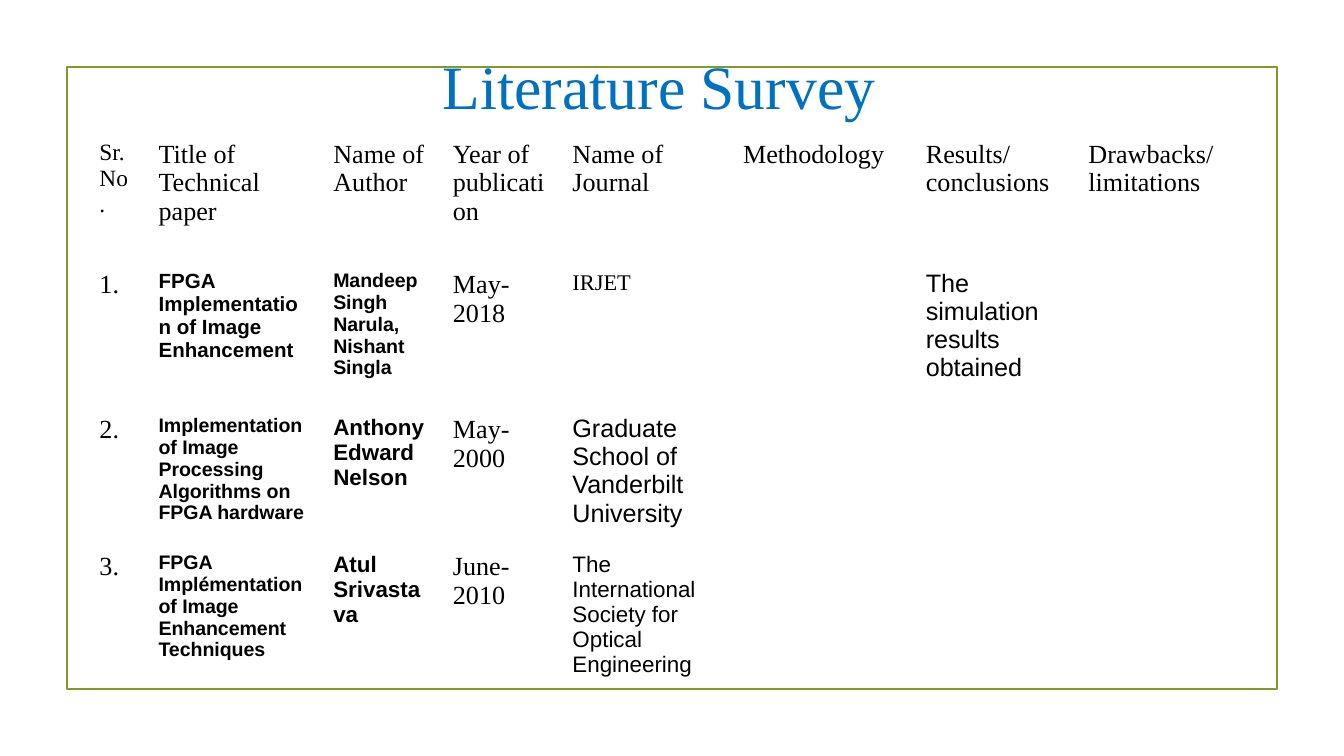
from pptx import Presentation
from pptx import util as u
from pptx.dml.color import RGBColor
from pptx.enum import shapes, text

COLORS = {"frame": "83992A", "title": "0070C0", "body": "000000"}
SERIF, SANS = "Times New Roman", "Arial"
WIDTH = 10
HEIGHT = WIDTH * 9 / 16
MARGIN = 0.5
COLUMNS = [0.44, 1.3, 0.89, 0.89, 1.27, 1.36, 1.21, 1.36]
ROWS = [0.97, 1.08, 1.02, 0.73]
NO_GRID_STYLE = "{2D5ABB26-0587-4C30-8999-92F81FD0307C}"

HEADERS = [
    "Sr.\nNo.", "Title of Technical paper", "Name of Author",
    "Year of publication", "Name of Journal", "Methodology",
    "Results/\nconclusions", "Drawbacks/\nlimitations",
]


def style(size, name=SERIF, bold=False):
    return {"size": u.Pt(size), "name": name, "bold": bold}


PLAIN = style(14)
PAPERS = [
    [("1.", PLAIN),
     ("FPGA Implementation of Image Enhancement", style(11, SANS, True)),
     ("Mandeep Singh Narula, Nishant Singla", style(10.5, SANS, True)),
     ("May-\n2018", PLAIN),
     ("IRJET", style(12)),
     None,
     ("The simulation results obtained", style(13.5, SANS))],
    [("2.", PLAIN),
     ("Implementation of Image Processing Algorithms on FPGA hardware", style(10.5, SANS, True)),
     ("Anthony Edward Nelson", style(12, SANS, True)),
     ("May-\n2000", PLAIN),
     ("Graduate School of Vanderbilt University", style(13.5, SANS))],
    [("3.", PLAIN),
     ("FPGA Implémentation of Image Enhancement Techniques", style(10.5, SANS, True)),
     ("Atul Srivastava", style(12, SANS, True)),
     ("June-\n2010", PLAIN),
     ("The International Society for Optical Engineering", style(12, SANS))],
]


def set_text(frame, content, font_values, color):
    frame.text = content
    for paragraph in frame.paragraphs:
        for name, value in font_values.items():
            setattr(paragraph.font, name, value)
        paragraph.font.color.rgb = RGBColor.from_string(COLORS[color])


def add_frame(slide):
    frame = slide.shapes.add_shape(
        shapes.MSO_SHAPE.RECTANGLE, u.Inches(MARGIN), u.Inches(MARGIN),
        u.Inches(WIDTH - 2 * MARGIN), u.Inches(HEIGHT - 2 * MARGIN))
    frame.shadow.inherit = False
    frame.fill.background()
    frame.line.color.rgb = RGBColor.from_string(COLORS["frame"])
    frame.line.width = u.Pt(1.25)
    slide.shapes.element.insert(2, frame.element)


def format_title(title):
    box = {"left": 0.87, "top": 0.26, "width": 8.07, "height": 0.63}
    for name, value in box.items():
        setattr(title, name, u.Inches(value))
    frame = title.text_frame
    for side in ("left", "top", "right", "bottom"):
        setattr(frame, f"margin_{side}", u.Inches(0.1))
    values = {
        "vertical_anchor": text.MSO_ANCHOR.TOP,
        "auto_size": text.MSO_AUTO_SIZE.NONE,
        "word_wrap": True,
    }
    for name, value in values.items():
        setattr(frame, name, value)
    set_text(frame, "Literature Survey", style(33), "title")
    frame.paragraphs[0].alignment = text.PP_ALIGN.CENTER


def add_survey_table(slide):
    entries = [[(header, PLAIN) for header in HEADERS]] + PAPERS
    entries[0][0] = (HEADERS[0], style(12.5))
    graphic = slide.shapes.add_table(
        len(ROWS), len(COLUMNS), u.Inches(0.64), u.Inches(0.99),
        u.Inches(sum(COLUMNS)), u.Inches(sum(ROWS)))
    table = graphic.table
    table.first_row = table.horz_banding = False
    table._tbl.tblPr.find("{*}tableStyleId").text = NO_GRID_STYLE
    for column, width in zip(table.columns, COLUMNS):
        column.width = u.Inches(width)
    for row, height in zip(table.rows, ROWS):
        row.height = u.Inches(height)
    for cell in table.iter_cells():
        cell.fill.background()
    for row, row_entries in zip(table.rows, entries):
        for cell, entry in zip(row.cells, row_entries):
            if entry:
                set_text(cell.text_frame, *entry, "body")


def main():
    presentation = Presentation()
    presentation.slide_width = u.Inches(WIDTH)
    presentation.slide_height = u.Inches(HEIGHT)
    slide = presentation.slides.add_slide(presentation.slide_layouts[5])
    add_frame(slide)
    format_title(slide.shapes.title)
    add_survey_table(slide)
    presentation.save("out.pptx")


if __name__ == "__main__":
    main()
